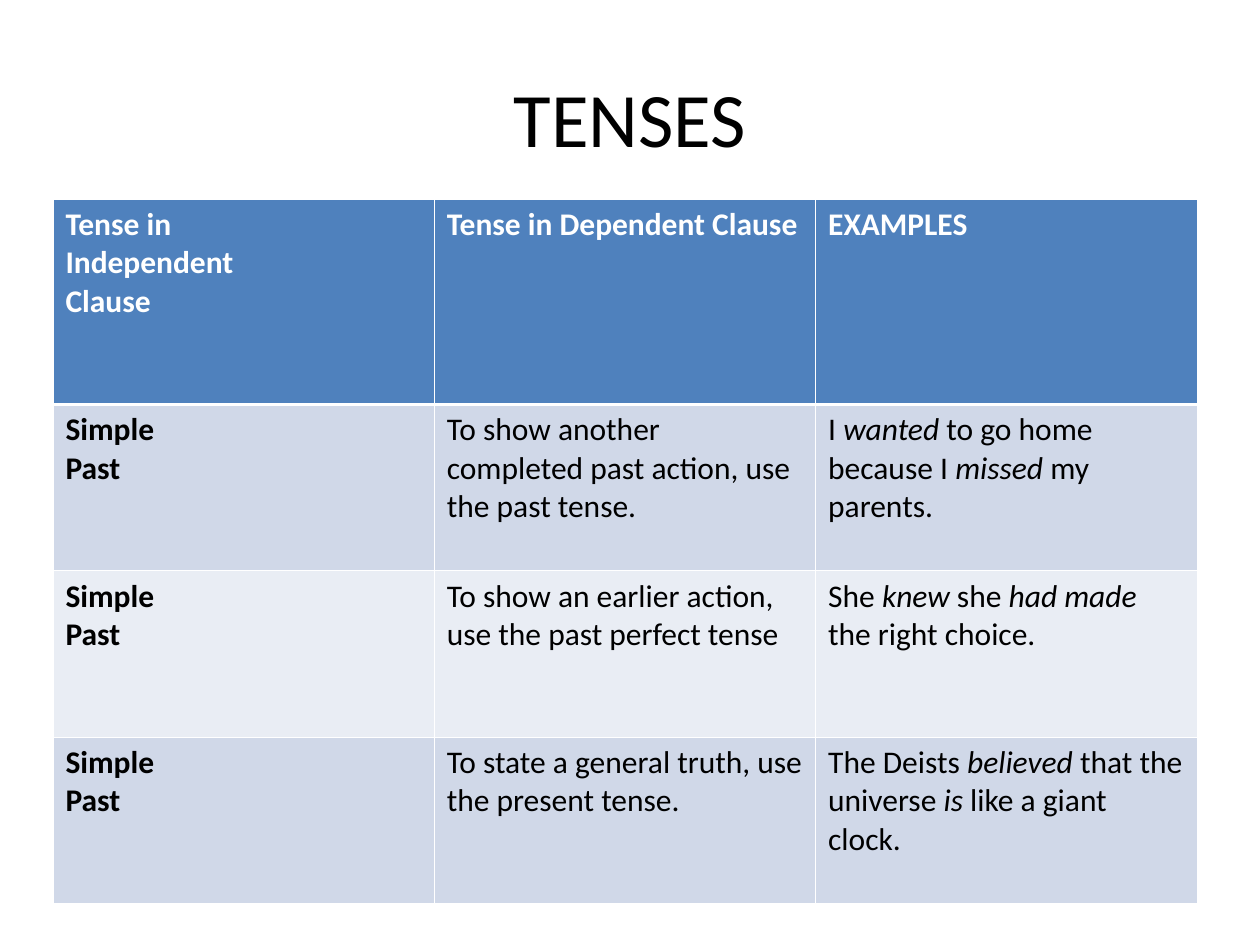
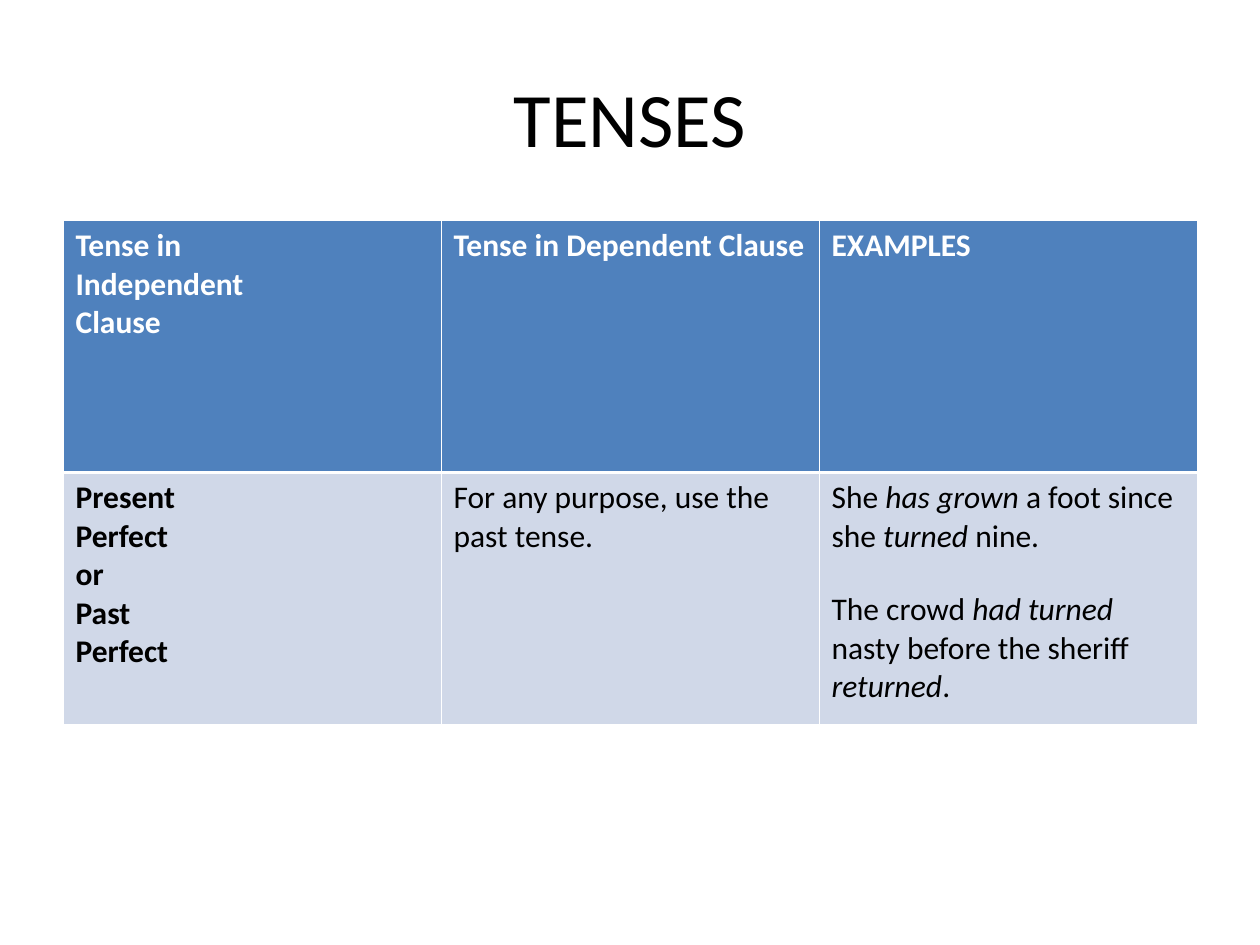
from pptx import Presentation
from pptx.dml.color import RGBColor
from pptx.enum.text import MSO_ANCHOR, PP_ALIGN
from pptx.oxml import parse_xml
from pptx.oxml.ns import nsdecls
from pptx.util import Inches, Pt

BLACK = RGBColor(0x00, 0x00, 0x00)
WHITE = RGBColor(0xFF, 0xFF, 0xFF)
HEADER_BLUE = RGBColor(0x4F, 0x81, 0xBD)
BANDS = (RGBColor(0xD0, 0xD8, 0xE8), RGBColor(0xE9, 0xED, 0xF4))
FONT = "Calibri"
THIN, THICK = Pt(0.45), Pt(1.47)

HEADER = ("Tense in\nIndependent\nClause", "Tense in Dependent Clause", "EXAMPLES")
SIMPLE_PAST = "Simple\nPast"
PAST_RULES = [
    (SIMPLE_PAST, "To show another completed past action, use the past tense.",
     "I *wanted* to go home because I *missed* my parents."),
    (SIMPLE_PAST, "To show an earlier action, use the past perfect tense",
     "She *knew* she *had made* the right choice."),
    (SIMPLE_PAST, "To state a general truth, use the present tense.",
     "The Deists *believed* that the universe *is* like a giant clock."),
]
PERFECT_RULES = [
    ("Present\nPerfect\nor\nPast\nPerfect", "For any purpose, use the past tense.",
     "She *has grown* a foot since she *turned* nine.\n\n"
     "The crowd *had turned* nasty before the sheriff *returned*."),
]


def write(frame, text, size=18, color=BLACK, bold=False, align=PP_ALIGN.LEFT, gap=20):
    """Fill a frame: blank lines part paragraphs, asterisks mark italics."""
    for number, block in enumerate(text.split("\n\n")):
        para = frame.add_paragraph() if number else frame.paragraphs[0]
        para.alignment = align
        para.space_before = Pt(gap if number else 0)
        for row, line in enumerate(block.split("\n")):
            if row:
                para.add_line_break()
            for index, part in enumerate(line.split("*")):
                if part:
                    span = para.add_run()
                    span.text = part
                    font = span.font
                    font.name, font.size, font.bold = FONT, Pt(size), bold
                    font.italic = index % 2 == 1
                    font.color.rgb = color


class TenseDeck:
    """Holds the presentation, its style and the current slide."""

    def __init__(self):
        self.deck = Presentation()
        self.deck.slide_width, self.deck.slide_height = Inches(10), Inches(7.5)
        self.page = None

    def add_page(self, title):
        """Start a slide with a centred title."""
        self.page = self.deck.slides.add_slide(self.deck.slide_layouts[6])
        box = self.page.shapes.add_textbox(Inches(0.5), Inches(0.3), Inches(9), Inches(1.25))
        box.text_frame.word_wrap = True
        box.text_frame.vertical_anchor = MSO_ANCHOR.MIDDLE
        write(box.text_frame, title, size=44, align=PP_ALIGN.CENTER)

    def add_borders(self, cell, top, bottom):
        """Draw white lines on all four sides of a cell."""
        sides = (("L", THIN), ("R", THIN), ("T", top), ("B", bottom))
        for index, (side, width) in enumerate(sides):
            line = parse_xml(
                f'<a:ln{side} {nsdecls("a")} w="{int(width)}"><a:solidFill>'
                f'<a:srgbClr val="{WHITE}"/></a:solidFill></a:ln{side}>')
            cell._tc.get_or_add_tcPr().insert(index, line)

    def add_tense_table(self, rules, left, top, width, header_height, rule_height):
        """Place a table with a blue header and banded rule rows."""
        rows = [HEADER, *rules]
        height = header_height + rule_height * len(rules)
        table = self.page.shapes.add_table(
            len(rows), len(HEADER), Inches(left), Inches(top),
            Inches(width), Inches(height)).table
        for column in table.columns:
            column.width = Inches(width / len(HEADER))
        for r, texts in enumerate(rows):
            table.rows[r].height = Inches(rule_height if r else header_height)
            for c, text in enumerate(texts):
                cell = table.cell(r, c)
                cell.fill.solid()
                cell.fill.fore_color.rgb = BANDS[(r - 1) % 2] if r else HEADER_BLUE
                self.add_borders(cell, THICK if r == 1 else THIN, THIN if r else THICK)
                write(cell.text_frame, text, color=BLACK if r else WHITE,
                      bold=r == 0 or c == 0)


def main():
    """Build both slides and save them."""
    tenses = TenseDeck()
    tenses.add_page("TENSES")
    tenses.add_tense_table(PAST_RULES, left=0.42, top=1.58, width=9.08,
                           header_height=1.63, rule_height=1.32)
    tenses.add_page("TENSES")
    tenses.add_tense_table(PERFECT_RULES, left=0.5, top=1.75, width=9,
                           header_height=2, rule_height=2)
    tenses.deck.save("out.pptx")


if __name__ == "__main__":
    main()
